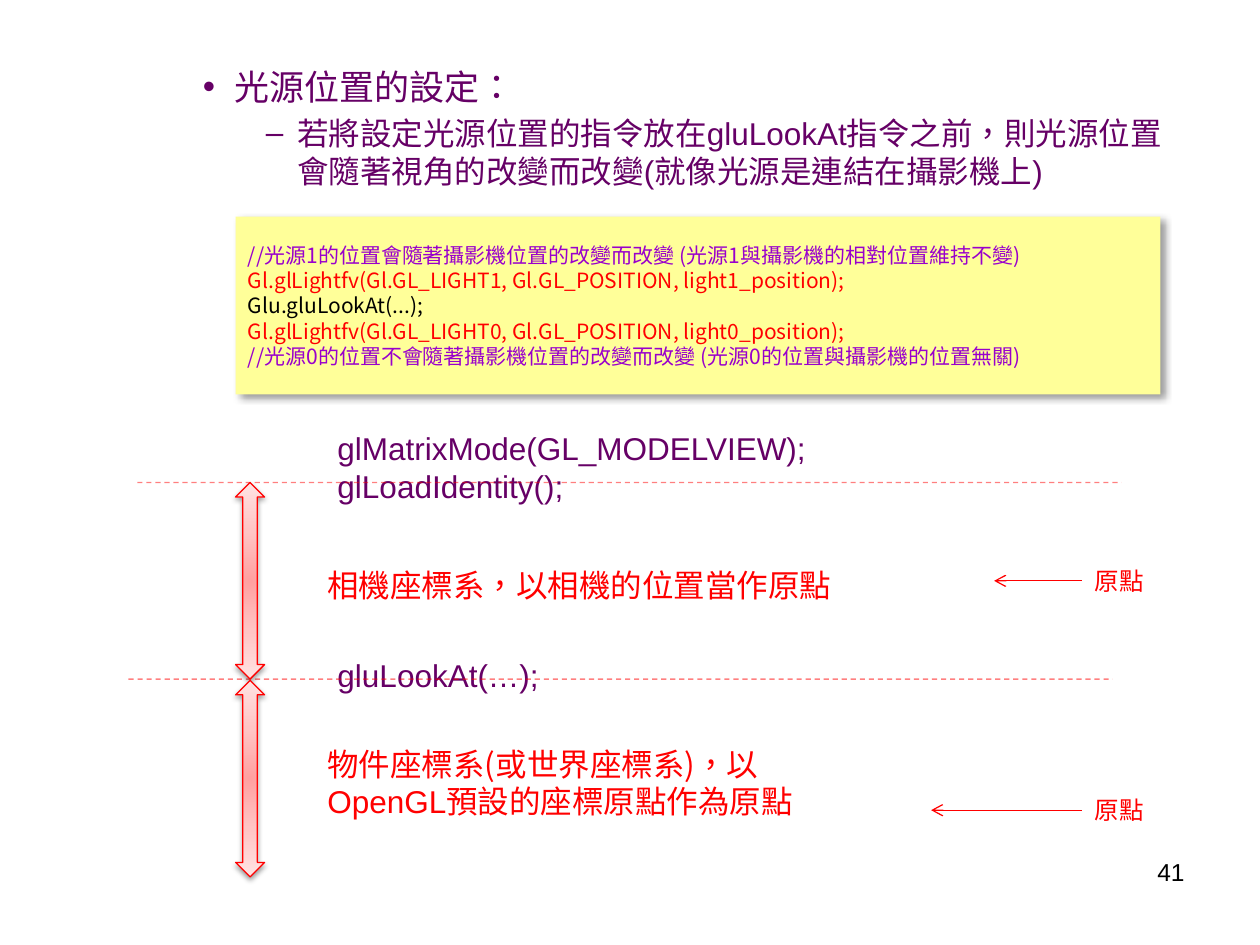
from lxml.etree import SubElement
from pptx import Presentation
from pptx.dml.color import RGBColor
from pptx.enum.dml import MSO_LINE
from pptx.enum.shapes import MSO_CONNECTOR, MSO_SHAPE
from pptx.enum.text import MSO_ANCHOR, PP_ALIGN
from pptx.oxml import parse_xml
from pptx.oxml.ns import nsdecls, qn
from pptx.util import Inches, Pt

PURPLE = RGBColor(0x66, 0x00, 0x66)
VIOLET = RGBColor(0x99, 0x00, 0xCC)
RED = RGBColor(0xFF, 0x00, 0x00)
BLACK = RGBColor(0x00, 0x00, 0x00)
YELLOW = RGBColor(0xFF, 0xFF, 0x99)
PINKS = [(0, "FFA0A0"), (50, "FFC5C5"), (100, "FFE3E3")]
LATIN, CHINESE, CODE = "Arial", "Noto Sans CJK SC", "Noto Sans CJK KR"
LEADING = 1.2

# Content: (text, level, size)
BULLETS = [
    ("光源位置的設定：", 2, 20),
    ("若將設定光源位置的指令放在gluLookAt指令之前，則光源位置會隨著視角的改變而改變(就像光源是連結在攝影機上)", 3, 18),
]
CODE_LINES = [
    ("//光源1的位置會隨著攝影機位置的改變而改變 (光源1與攝影機的相對位置維持不變)", VIOLET),
    ("Gl.glLightfv(Gl.GL_LIGHT1, Gl.GL_POSITION, light1_position);", RED),
    ("Glu.gluLookAt(...);", BLACK),
    ("Gl.glLightfv(Gl.GL_LIGHT0, Gl.GL_POSITION, light0_position);", RED),
    ("//光源0的位置不會隨著攝影機位置的改變而改變 (光源0的位置與攝影機的位置無關)", VIOLET),
]
CALLS = ["glMatrixMode(GL_MODELVIEW);", "glLoadIdentity();", "gluLookAt(…);"]
CALL_GAP = 4  # empty lines' worth of space before the last call
# Coordinate systems: (top, height, runs of text and font)
SYSTEMS = [
    (4.44, 0.40, [("相機座標系，以相機的位置當作原點", CHINESE)]),
    (5.86, 0.71, [("物件座標系(或世界座標系)，以", CHINESE), ("OpenGL", LATIN),
                  ("預設的座標原點作為原點", CHINESE)]),
]
ORIGIN = "原點"
ORIGINS = [(4.44, 7.89), (6.26, 7.39)]  # label top, arrow tip x
DIVIDERS = [(1.02, 5.39), (1.09, 3.83)]  # left, y
DIVIDER_WIDTH = 7.81
SPANS = [3.83, 5.40]  # tops of the double arrows

deck = Presentation()
deck.slide_width, deck.slide_height = Inches(10), Inches(7.5)
page = deck.slides.add_slide(deck.slide_layouts[1])
page.shapes.title.element.getparent().remove(page.shapes.title.element)


def add_span(para, text, font, size, color):
    span = para.add_run()
    span.text = text
    for name, value in {"name": font, "size": Pt(size)}.items():
        setattr(span.font, name, value)
    span.font.color.rgb = color
    props = span.font._element
    props.set("lang", "zh-TW")
    if font != LATIN:
        SubElement(props, qn("a:ea")).set("typeface", font)
    para.line_spacing = Pt(size * LEADING)


def add_para(frame, first):
    return frame.paragraphs[0] if first else frame.add_paragraph()


def add_box(left, top, width, height):
    box = page.shapes.add_textbox(*map(Inches, (left, top, width, height)))
    box.text_frame.word_wrap = True
    return box


def add_shadow(shape, alpha, blur, distance, angle):
    shape.shadow.inherit = False
    effects = shape._element.spPr.find(qn("a:effectLst"))
    effects.append(parse_xml(
        f'<a:outerShdw {nsdecls("a")} blurRad="{Pt(blur)}" dist="{Pt(distance)}" '
        f'dir="{angle * 60000}" algn="ctr" rotWithShape="0"><a:srgbClr val="000000">'
        f'<a:alpha val="{alpha * 1000}"/></a:srgbClr></a:outerShdw>'))


def add_line(start, end):
    line = page.shapes.add_connector(
        MSO_CONNECTOR.STRAIGHT, *map(Inches, (*start, *end)))
    line.line.color.rgb = RED
    line.line.width = Pt(0.75)
    SubElement(line._element.spPr, qn("a:effectLst"))
    return line


# Bulleted list
body = page.placeholders[1]
for name, value in zip(("left", "top", "width", "height"), (0.51, 0.47, 9, 6.26)):
    setattr(body, name, Inches(value))
for index, (text, level, size) in enumerate(BULLETS):
    para = add_para(body.text_frame, index == 0)
    para.level = level
    if index == 0:
        para.space_before = Pt(0)
    add_span(para, text, LATIN, size, PURPLE)

# Page number
number = add_box(7.17, 6.75, 2.33, 0.52).text_frame.paragraphs[0]
number.alignment = PP_ALIGN.RIGHT
add_span(number, "41", LATIN, 14, BLACK)

# Code panel
panel = page.shapes.add_shape(
    MSO_SHAPE.RECTANGLE, *map(Inches, (1.87, 1.72, 7.34, 1.41)))
panel.fill.solid()
panel.fill.fore_color.rgb = YELLOW
panel.line.fill.background()
add_shadow(panel, 40, 4, 3, 45)
panel.text_frame.word_wrap = True
panel.text_frame.vertical_anchor = MSO_ANCHOR.MIDDLE
for index, (text, color) in enumerate(CODE_LINES):
    para = add_para(panel.text_frame, index == 0)
    para.alignment = PP_ALIGN.LEFT
    add_span(para, text, CODE, 12, color)

# Matrix calls
calls = add_box(2.58, 3.36, 5.39, 2.83).text_frame
for index, text in enumerate(CALLS):
    para = add_para(calls, index == 0)
    add_span(para, text, LATIN, 18, PURPLE)
para.space_before = Pt(CALL_GAP * 18 * LEADING)

# Dashed dividers, half transparent
for left, y in DIVIDERS:
    divider = add_line((left, y), (left + DIVIDER_WIDTH, y))
    divider.line.dash_style = MSO_LINE.DASH
    color = next(divider._element.spPr.iter(qn("a:srgbClr")))
    SubElement(color, qn("a:alpha")).set("val", "49000")

# Coordinate system descriptions
for top, height, spans in SYSTEMS:
    para = add_box(2.5, top, 4.45, height).text_frame.paragraphs[0]
    for text, font in spans:
        add_span(para, text, font, 18, RED)

# Origin labels with arrows
for top, tip in ORIGINS:
    label = add_box(8.59, top, 0.7, 0.34)
    add_span(label.text_frame.paragraphs[0], ORIGIN, CHINESE, 14, RED)
    middle = top + 0.17
    arrow = add_line((tip, middle), (8.59, middle))
    arrow.end_connect(label, 1)
    SubElement(arrow.line._get_or_add_ln(), qn("a:headEnd")).set("type", "arrow")

# Double arrows with a radial gradient
stops = "".join(f'<a:gs pos="{pos * 1000}"><a:srgbClr val="{color}"/></a:gs>'
                for pos, color in PINKS)
for top in SPANS:
    extent = page.shapes.add_shape(
        MSO_SHAPE.UP_DOWN_ARROW, *map(Inches, (1.87, top, 0.23, 1.56)))
    extent.line.color.rgb = RED
    extent.line.width = Pt(0.75)
    add_shadow(extent, 38, 3.1, 1.6, 90)
    extent._element.spPr.find(qn("a:prstGeom")).addnext(parse_xml(
        f'<a:gradFill {nsdecls("a")} rotWithShape="1"><a:gsLst>{stops}</a:gsLst>'
        '<a:path path="circle"><a:fillToRect l="50000" t="50000" r="50000" b="50000"/>'
        '</a:path></a:gradFill>'))

deck.save("out.pptx")
